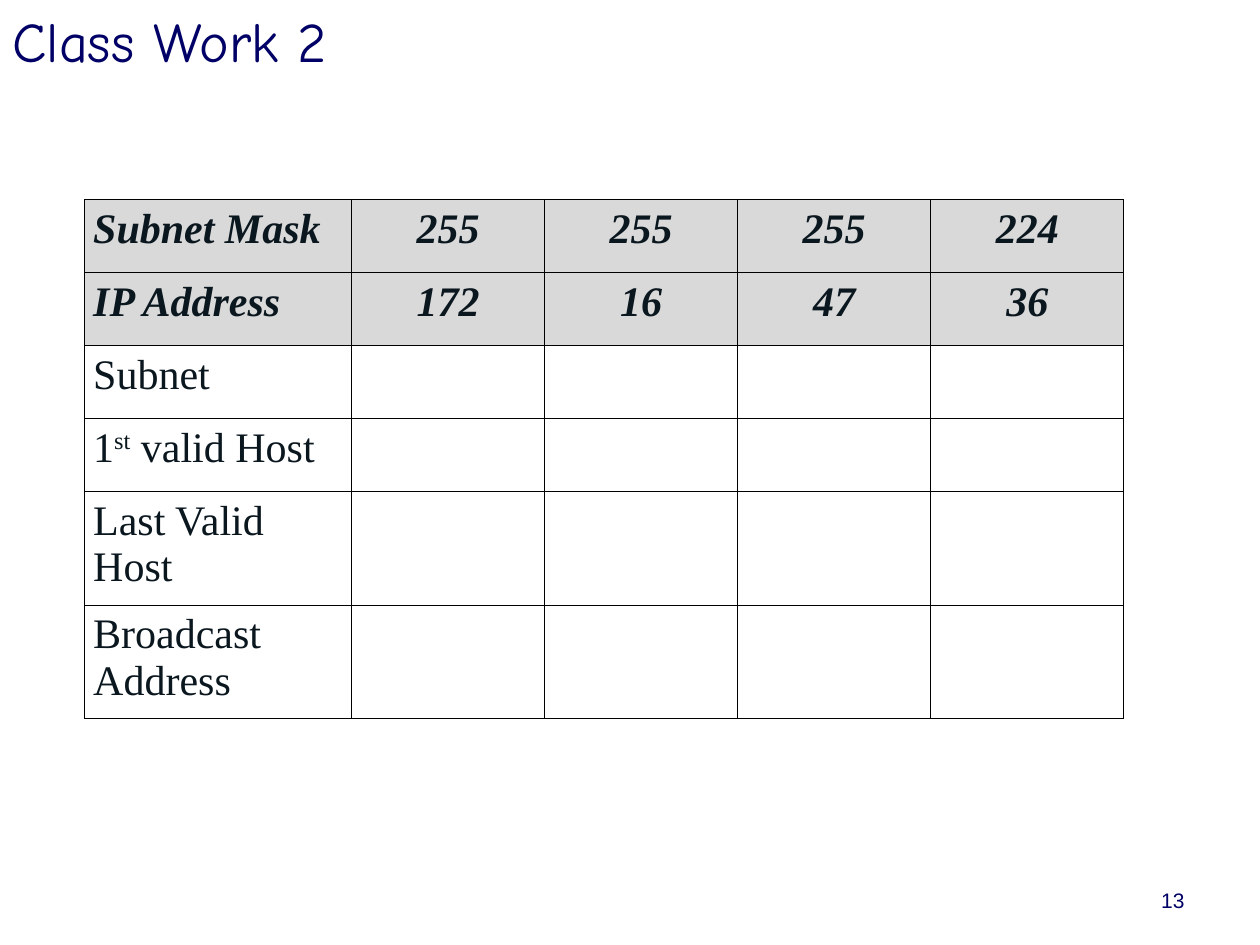
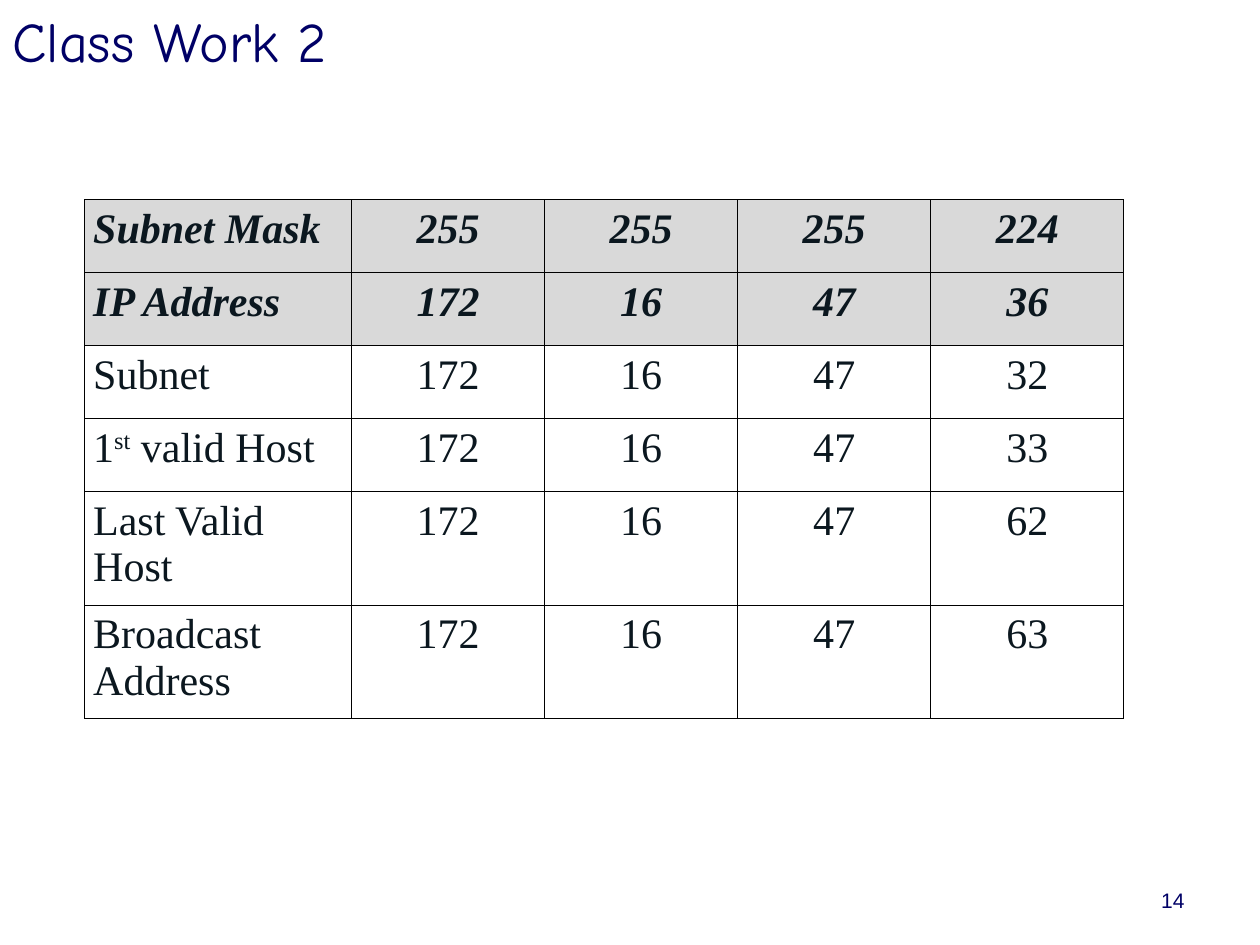
from lxml import etree
from pptx import Presentation
from pptx import util as u
from pptx.dml.color import RGBColor
from pptx.enum import text
from pptx.oxml import ns

WIDE, HIGH = 10, 7.5
HUES = {"navy": "000066", "ink": "0B171F", "grey": "D9D9D9", "rule": "000000"}
TITLE = (0, 0, 1, 0.085)
PAGE = (0.717, 0.933, 0.233, 0.067)
GRID = (0.067, 0.211, 0.825, 0.549)
NAME = 0.257
ROWS = [0.58] * 4 + [0.9] * 2
HEADS = 2
LABELS = [
    ["Subnet Mask"],
    ["IP Address"],
    ["Subnet"],
    ["1", "^st", " valid Host"],
    ["Last Valid Host"],
    ["Broadcast Address"],
]
GIVEN = [["255", "255", "255", "224"], ["172", "16", "47", "36"]]
ASKED = [["172", "16", "47", last] for last in ("32", "33", "62", "63")]
BLANK = [[""] * 4] * 4


def place(box):
    x, y, w, h = box
    return [u.Inches(n) for n in (x * WIDE, y * HIGH, w * WIDE, h * HIGH)]


def add_run(para, words, font, size, hue, bold=False):
    run = para.add_run()
    run.text = words.lstrip("^")
    run.font.name = font
    run.font.size = u.Pt(size)
    run.font.color.rgb = RGBColor.from_string(HUES[hue])
    run.font.bold = run.font.italic = bold
    if words.startswith("^"):
        run.font._element.set("baseline", "30000")


def add_line(slide, box, words, font, size, align):
    frame = slide.shapes.add_textbox(*place(box)).text_frame
    frame.word_wrap = True
    para = frame.paragraphs[0]
    para.alignment = align
    add_run(para, words, font, size, "navy")
    return frame


def add_title(slide, box, words):
    frame = add_line(slide, box, words, "Comic Neue", 32, text.PP_ALIGN.JUSTIFY)
    frame.vertical_anchor = text.MSO_ANCHOR.MIDDLE
    frame.auto_size = text.MSO_AUTO_SIZE.SHAPE_TO_FIT_TEXT


def add_page(slide, box, number):
    add_line(slide, box, str(number), "Arial", 12, text.PP_ALIGN.RIGHT)


def set_edge(cell):
    props = cell._tc.get_or_add_tcPr()
    for side in ("a:lnL", "a:lnR", "a:lnT", "a:lnB"):
        line = etree.SubElement(props, ns.qn(side), w=str(u.Pt(0.45)))
        fill = etree.SubElement(line, ns.qn("a:solidFill"))
        etree.SubElement(fill, ns.qn("a:srgbClr"), val=HUES["rule"])


def fill_cell(cell, parts, head, align):
    cell.margin_left = cell.margin_right = u.Inches(0.07)
    cell.margin_top = cell.margin_bottom = u.Inches(0.05)
    set_edge(cell)
    if head:
        cell.fill.solid()
        cell.fill.fore_color.rgb = RGBColor.from_string(HUES["grey"])
    else:
        cell.fill.background()
    para = cell.text_frame.paragraphs[0]
    para.alignment = align
    for part in filter(None, parts):
        add_run(para, part, "Times New Roman", 24, "ink", head)


def add_grid(slide, box, octets):
    count = len(octets[0])
    table = slide.shapes.add_table(len(ROWS), count + 1, *place(box)).table
    table.first_row = table.horz_banding = False
    wide = box[2] * WIDE
    shares = [NAME] + [(1 - NAME) / count] * count
    for col, share in zip(table.columns, shares):
        col.width = u.Inches(wide * share)
    for row, high in zip(table.rows, ROWS):
        row.height = u.Inches(high)
    for r, (label, values) in enumerate(zip(LABELS, octets)):
        fill_cell(table.cell(r, 0), label, r < HEADS, text.PP_ALIGN.LEFT)
        for c, value in enumerate(values, 1):
            fill_cell(table.cell(r, c), [value], r < HEADS, text.PP_ALIGN.CENTER)


def main():
    deck = Presentation()
    deck.slide_width, deck.slide_height = u.Inches(WIDE), u.Inches(HIGH)
    for number, body in enumerate((BLANK, ASKED), 13):
        slide = deck.slides.add_slide(deck.slide_layouts[6])
        add_page(slide, PAGE, number)
        add_title(slide, TITLE, "Class Work 2")
        add_grid(slide, GRID, GIVEN + body)
    deck.save("out.pptx")


if __name__ == "__main__":
    main()
